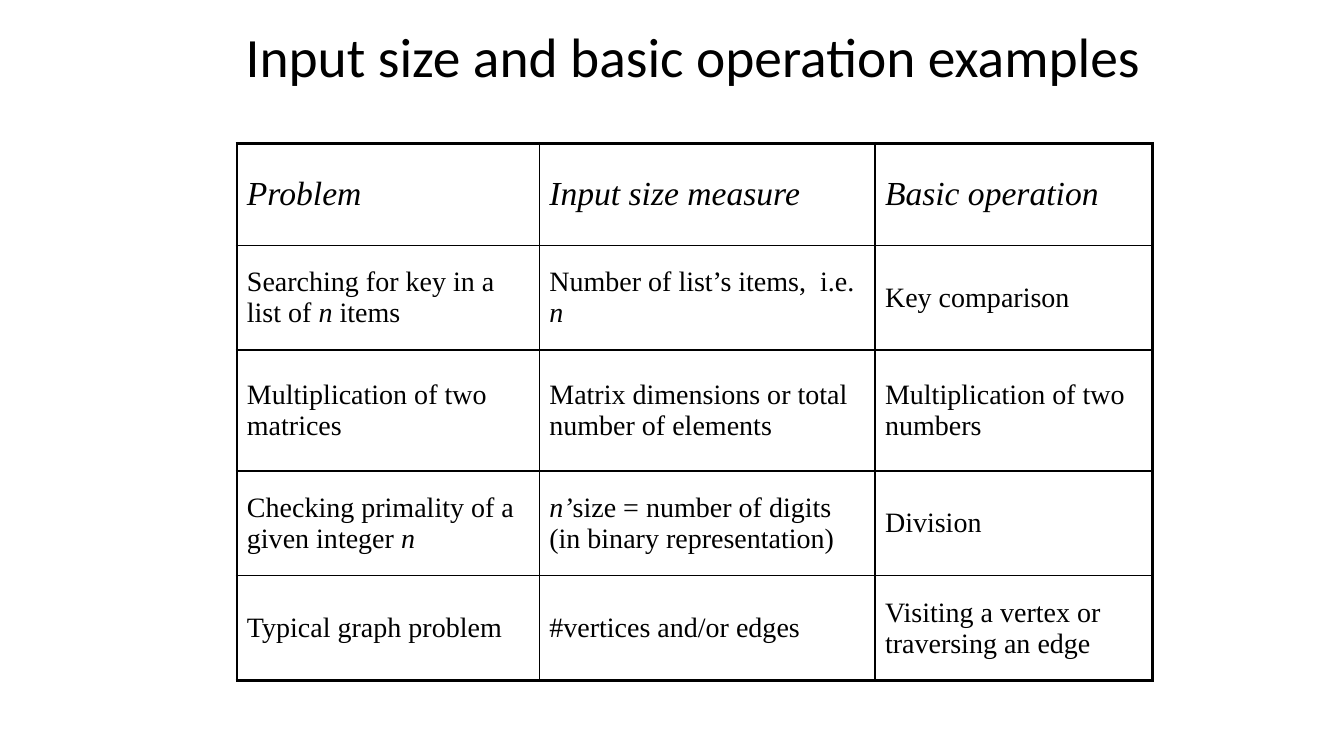
from lxml.etree import SubElement
from pptx import Presentation
from pptx.dml.color import RGBColor
from pptx.enum.text import MSO_ANCHOR, PP_ALIGN
from pptx.oxml.ns import qn
from pptx.util import Cm, Pt

COLORS = {"text": "000000", "border": "000000"}
THIN, THICK = Pt(1), Pt(2.25)

COLUMN_WIDTHS = [7.62, 8.46, 6.99]
ROW_HEIGHTS = [2.57, 2.64, 3.05, 2.64, 2.64]
# Asterisks enclose italic text.
ROWS = [
    ["*Problem*", "*Input size measure*", "*Basic operation*"],
    ["Searching for key in a list of *n* items",
     "Number of list’s items,  i.e. *n*",
     "Key comparison"],
    ["Multiplication of two matrices",
     "Matrix dimensions or total number of elements",
     "Multiplication of two numbers"],
    ["Checking primality of a given integer *n*",
     "*n’*size = number of digits (in binary representation)",
     "Division"],
    ["Typical graph problem",
     "#vertices and/or edges",
     "Visiting a vertex or traversing an edge"],
]


def add_run(para, text, font_name, size, italic=False):
    run = para.add_run()
    run.text = text
    run.font.name = font_name
    run.font.size = Pt(size)
    run.font.italic = italic
    run.font.color.rgb = RGBColor.from_string(COLORS["text"])


def set_borders(cell, widths):
    """Draw the cell's left, right, top and bottom lines, in that order."""
    properties = cell._tc.get_or_add_tcPr()
    for side, width in zip("LRTB", widths):
        line = SubElement(properties, qn(f"a:ln{side}"), w=str(width))
        fill = SubElement(line, qn("a:solidFill"))
        SubElement(fill, qn("a:srgbClr"), val=COLORS["border"])


deck = Presentation()
deck.slide_width, deck.slide_height = Cm(33.87), Cm(19.05)
page = deck.slides.add_slide(deck.slide_layouts[6])

title_box = page.shapes.add_textbox(Cm(5.94), Cm(0.56), Cm(23.7), Cm(1.9))
title_frame = title_box.text_frame
title_frame.word_wrap = True
title_frame.vertical_anchor = MSO_ANCHOR.MIDDLE
title_para = title_frame.paragraphs[0]
title_para.alignment = PP_ALIGN.LEFT
title_para.line_spacing = 0.9
add_run(title_para, "Input size and basic operation examples", "Calibri", 39.6)

table = page.shapes.add_table(
    len(ROWS), len(COLUMN_WIDTHS), Cm(5.97), Cm(3.61),
    Cm(sum(COLUMN_WIDTHS)), Cm(sum(ROW_HEIGHTS))).table
table.first_row = False
table.horz_banding = False
for column, width in zip(table.columns, COLUMN_WIDTHS):
    column.width = Cm(width)
for row, height in zip(table.rows, ROW_HEIGHTS):
    row.height = Cm(height)

last_row, last_column = len(ROWS) - 1, len(COLUMN_WIDTHS) - 1
for row_index, texts in enumerate(ROWS):
    for column_index, text in enumerate(texts):
        cell = table.cell(row_index, column_index)
        cell.vertical_anchor = MSO_ANCHOR.MIDDLE
        outer_sides = [column_index == 0, column_index == last_column,
                       row_index == 0, row_index == last_row]
        set_borders(cell, [THICK if outer else THIN for outer in outer_sides])
        cell.fill.background()
        para = cell.text_frame.paragraphs[0]
        size = 24 if row_index == 0 else 20
        for part_index, part in enumerate(text.split("*")):
            if part:
                add_run(para, part, "Times New Roman", size, part_index % 2 == 1)

deck.save("out.pptx")
